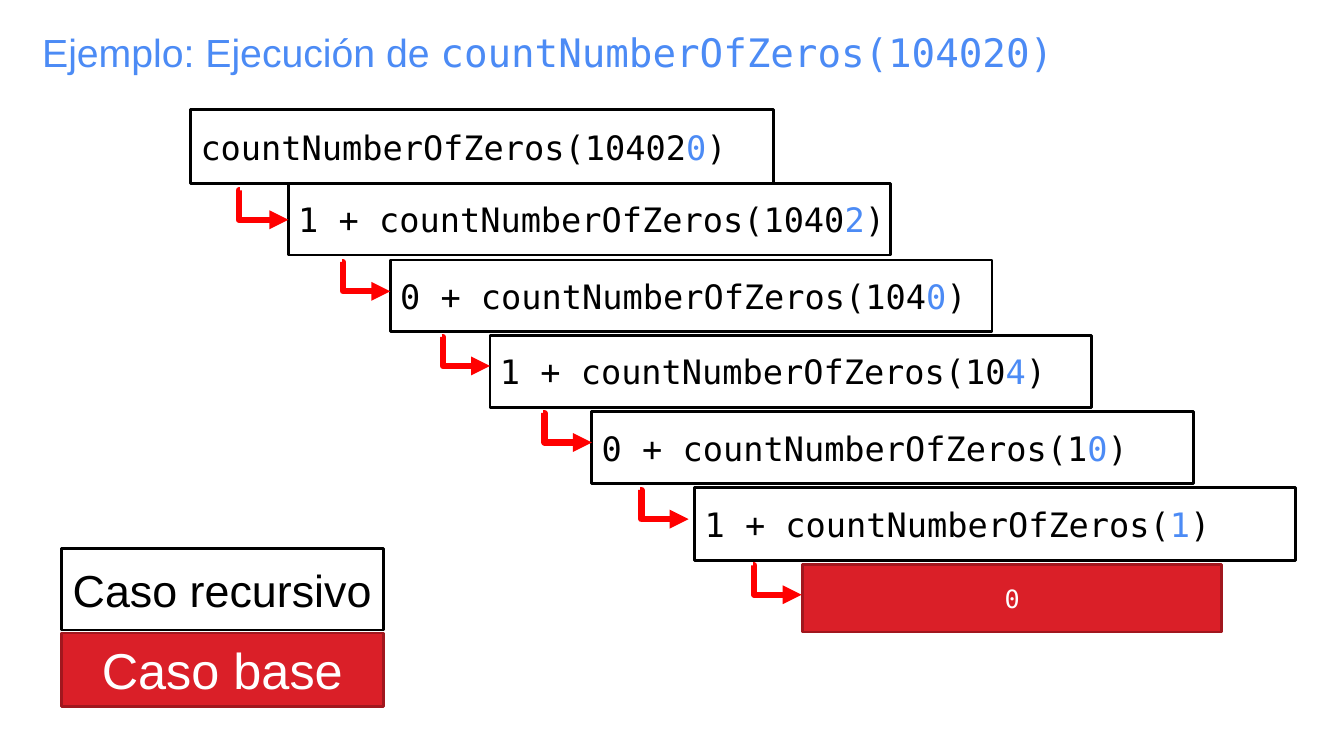
from lxml import etree
from pptx import Presentation
from pptx import util as u
from pptx.dml.color import RGBColor
from pptx.enum import shapes, text
from pptx.oxml.ns import qn

COLORS = {
    "blue": "4C8BF5",
    "black": "000000",
    "white": "FFFFFF",
    "base": "DA1F28",
    "base_edge": "A1171E",
    "arrow": "FF0000",
}
SANS = "Arial"
MONO = "DejaVu Sans Mono"
FUNCTION = "countNumberOfZeros("

# left, top, width, height, added term, leading digits, last digit
CALLS = [
    (1.89, 1.09, 5.78, 0.73, "", "10402", "0"),
    (2.86, 1.82, 5.97, 0.71, "1 + ", "1040", "2"),
    (3.87, 2.58, 5.97, 0.71, "0 + ", "104", "0"),
    (4.86, 3.33, 5.97, 0.71, "1 + ", "10", "4"),
    (5.87, 4.08, 5.97, 0.72, "0 + ", "1", "0"),
    (6.89, 4.84, 5.96, 0.72, "1 + ", "", "1"),
]
# start of each arrow and where its bend lies, as a share of its width
ARROWS = [
    (2.38, 1.89, -0.023),
    (3.39, 2.6, 0.023),
    (4.38, 3.34, 0.023),
    (5.39, 4.1, 0.023),
    (6.35, 4.86, 0.023),
    (7.47, 5.61, 0.023),
]
ARROW_WIDTH, ARROW_HEIGHT = 0.48, 0.29


def rgb(name):
    return RGBColor.from_string(COLORS[name])


def add_run(paragraph, words, size, font=MONO, color="black"):
    run = paragraph.add_run()
    run.text = words
    run.font.size = u.Pt(size)
    run.font.name = font
    run.font.color.rgb = rgb(color)


def add_box(slide, left, top, width, height, fill="white", edge="black", centered=False):
    """Draw a bordered rectangle and return its paragraph."""
    box = slide.shapes.add_shape(
        shapes.MSO_SHAPE.RECTANGLE, *map(u.Inches, (left, top, width, height)))
    box.shadow.inherit = False
    box.fill.solid()
    box.fill.fore_color.rgb = rgb(fill)
    box.line.color.rgb = rgb(edge)
    box.line.width = u.Pt(2)
    frame = box.text_frame
    frame.word_wrap = False
    frame.vertical_anchor = text.MSO_ANCHOR.MIDDLE
    paragraph = frame.paragraphs[0]
    paragraph.alignment = text.PP_ALIGN.CENTER if centered else text.PP_ALIGN.LEFT
    return paragraph


def add_call(slide, left, top, width, height, term, digits, last_digit):
    call = add_box(slide, left, top, width, height)
    add_run(call, term + FUNCTION + digits, 24)
    add_run(call, last_digit, 24, color="blue")
    add_run(call, ")", 24)


def add_case(slide, place, label, size, font=SANS, base=False):
    """Draw a centred box, red when it stands for the base case."""
    fill, edge, color = ("base", "base_edge", "white") if base else ("white", "black", "black")
    case = add_box(slide, *place, fill=fill, edge=edge, centered=True)
    add_run(case, label, size, font=font, color=color)


def add_arrow(slide, left, top, bend):
    arrow = slide.shapes.add_connector(
        shapes.MSO_CONNECTOR.ELBOW,
        *map(u.Inches, (left, top, left + ARROW_WIDTH, top + ARROW_HEIGHT)))
    arrow.line.color.rgb = rgb("arrow")
    arrow.line.width = u.Pt(4.5)
    properties = arrow.element.spPr
    guides = properties.find(qn("a:prstGeom")).get_or_add_avLst()
    etree.SubElement(guides, qn("a:gd"), name="adj1", fmla=f"val {round(bend * 100000)}")
    etree.SubElement(properties.find(qn("a:ln")), qn("a:tailEnd"), type="triangle")
    etree.SubElement(properties, qn("a:effectLst"))


def add_title(slide):
    title = slide.shapes.add_textbox(*map(u.Inches, (0.32, 0.23, 11.11, 0.57)))
    frame = title.text_frame
    frame.word_wrap = True
    frame.auto_size = text.MSO_AUTO_SIZE.SHAPE_TO_FIT_TEXT
    heading = frame.paragraphs[0]
    add_run(heading, "Ejemplo: Ejecución de ", 28, font=SANS, color="blue")
    add_run(heading, FUNCTION + "104020)", 28, color="blue")


def main():
    deck = Presentation()
    deck.slide_width = u.Inches(13.33)
    deck.slide_height = u.Inches(7.5)
    slide = deck.slides.add_slide(deck.slide_layouts[6])

    for call in CALLS:
        add_call(slide, *call)
    add_case(slide, (7.96, 5.6, 4.16, 0.67), "0", 18, font=MONO, base=True)
    for arrow in ARROWS:
        add_arrow(slide, *arrow)
    add_title(slide)
    add_case(slide, (0.61, 6.28, 3.19, 0.73), "Caso base", 36, base=True)
    add_case(slide, (0.61, 5.44, 3.19, 0.81), "Caso recursivo", 32)

    deck.save("out.pptx")


if __name__ == "__main__":
    main()
